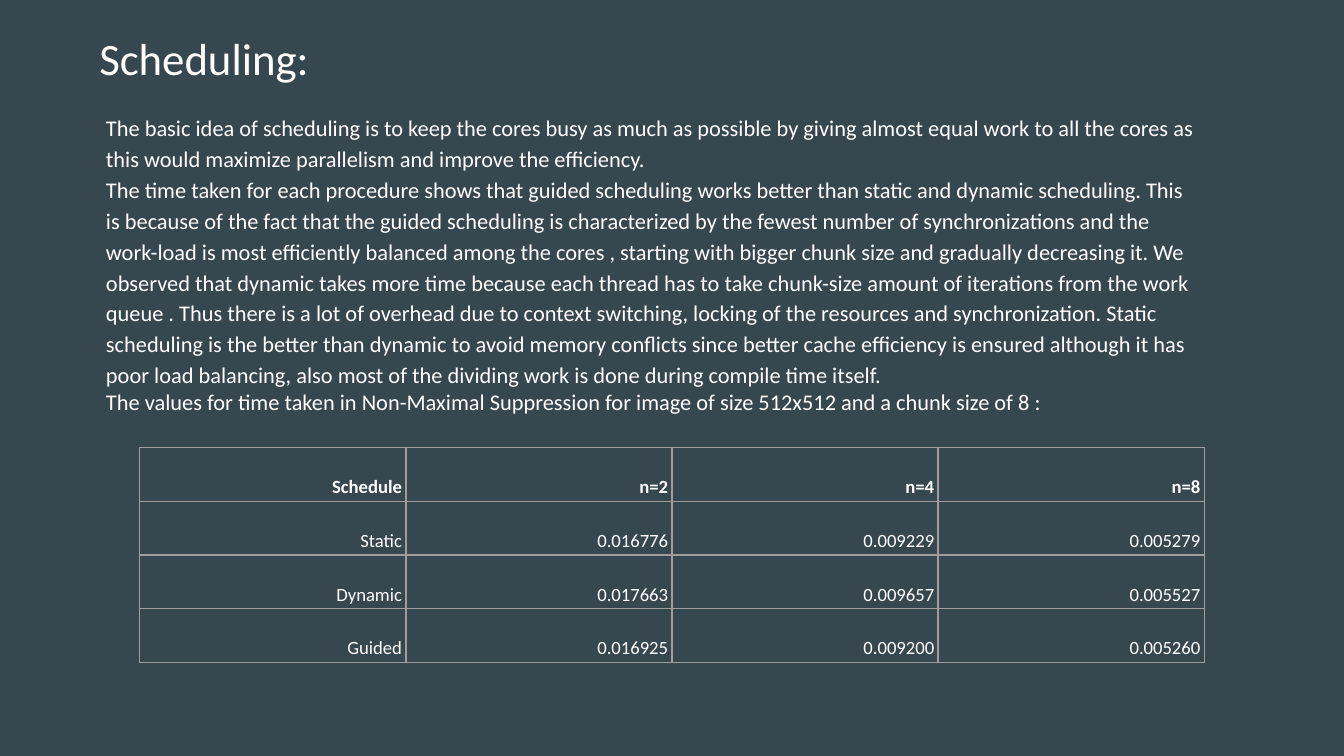
from dataclasses import dataclass
from typing import NamedTuple

from lxml.etree import SubElement
from pptx import Presentation
from pptx.dml.color import RGBColor
from pptx.enum.text import MSO_ANCHOR, PP_ALIGN
from pptx.oxml.ns import qn
from pptx.util import Inches, Pt


@dataclass(frozen=True)
class Theme:
    font: str = "Calibri"
    background: str = "37474F"
    text: str = "FFFFFF"
    border: str = "9E9E9E"
    border_width: float = 0.75
    title_size: int = 24
    body_size: int = 12
    table_size: int = 10
    line_spacing: float = 1.15


class Paragraph(NamedTuple):
    text: str
    spacing: float


class TextBlock(NamedTuple):
    left: float
    top: float
    width: float
    height: float
    size: int
    paragraphs: list[Paragraph]


THEME = Theme()
SLIDE_WIDTH = 10
SLIDE_HEIGHT = SLIDE_WIDTH * 9 / 16

TITLE = TextBlock(
    0.64, 0.13, 9.02, 0.59, THEME.title_size, [Paragraph("Scheduling:", 1.0)]
)

BODY = TextBlock(0.69, 0.72, 8.32, 2.46, THEME.body_size, [
    Paragraph(
        "The basic idea of scheduling is to keep the cores busy as much as possible "
        "by giving almost equal work to all the cores as this would maximize "
        "parallelism and improve the efficiency.",
        THEME.line_spacing,
    ),
    Paragraph(
        "The time taken for each procedure shows that guided scheduling works better "
        "than static and dynamic scheduling. This is because of the fact that the "
        "guided scheduling is characterized by the fewest number of synchronizations "
        "and the work-load is most efficiently balanced among the cores , starting "
        "with bigger chunk size and gradually decreasing it. We observed that dynamic "
        "takes more time because each thread has to take chunk-size amount of "
        "iterations from the work queue . Thus there is a lot of overhead due to "
        "context switching, locking of the resources and synchronization. Static "
        "scheduling is the better than dynamic to avoid memory conflicts since better "
        "cache efficiency is ensured although it has poor load balancing, also most "
        "of the dividing work is done during compile time itself.",
        THEME.line_spacing,
    ),
    Paragraph(
        "The values for time taken in Non-Maximal Suppression for image of size "
        "512x512 and a chunk size of 8 :",
        1.0,
    ),
])

TIMINGS = [
    ("Schedule", "n=2", "n=4", "n=8"),
    ("Static", "0.016776", "0.009229", "0.005279"),
    ("Dynamic", "0.017663", "0.009657", "0.005527"),
    ("Guided", "0.016925", "0.009200", "0.005260"),
]


def set_paragraph(p, text: str, size: int, spacing: float, bold: bool = False) -> None:
    p.text = text
    p.line_spacing = spacing
    for r in p.runs:
        r.font.name = THEME.font
        r.font.size = Pt(size)
        r.font.bold = bold
        r.font.color.rgb = RGBColor.from_string(THEME.text)


def add_text(s, block: TextBlock) -> None:
    sp = s.shapes.add_textbox(
        Inches(block.left), Inches(block.top), Inches(block.width), Inches(block.height)
    )
    tf = sp.text_frame
    tf.word_wrap = True
    tf.margin_left = tf.margin_right = tf.margin_top = tf.margin_bottom = Inches(0.1)
    for i, item in enumerate(block.paragraphs):
        p = tf.add_paragraph() if i else tf.paragraphs[0]
        set_paragraph(p, item.text, block.size, item.spacing)


def set_borders(cell) -> None:
    tc_pr = cell._tc.get_or_add_tcPr()
    for side in ("a:lnL", "a:lnR", "a:lnT", "a:lnB"):
        ln = SubElement(tc_pr, qn(side), w=str(Pt(THEME.border_width)))
        fill = SubElement(ln, qn("a:solidFill"))
        SubElement(fill, qn("a:srgbClr"), val=THEME.border)


def add_timings(s, left: float, top: float, col_width: float, row_height: float) -> None:
    rows, cols = len(TIMINGS), len(TIMINGS[0])
    table = s.shapes.add_table(
        rows, cols, Inches(left), Inches(top),
        Inches(cols * col_width), Inches(rows * row_height),
    ).table
    table.horz_banding = False
    for i, values in enumerate(TIMINGS):
        for j, value in enumerate(values):
            cell = table.cell(i, j)
            cell.vertical_anchor = MSO_ANCHOR.BOTTOM
            cell.margin_left = cell.margin_right = Inches(0.03)
            cell.margin_top = cell.margin_bottom = Inches(0.02)
            p = cell.text_frame.paragraphs[0]
            set_paragraph(p, value, THEME.table_size, THEME.line_spacing, bold=i == 0)
            p.alignment = PP_ALIGN.RIGHT
            set_borders(cell)
            cell.fill.background()


def main() -> None:
    prs = Presentation()
    prs.slide_width = Inches(SLIDE_WIDTH)
    prs.slide_height = Inches(SLIDE_HEIGHT)
    s = prs.slides.add_slide(prs.slide_layouts[6])
    s.background.fill.solid()
    s.background.fill.fore_color.rgb = RGBColor.from_string(THEME.background)
    add_text(s, TITLE)
    add_timings(s, left=1.04, top=3.33, col_width=1.98, row_height=0.4)
    add_text(s, BODY)
    prs.save("out.pptx")


if __name__ == "__main__":
    main()
